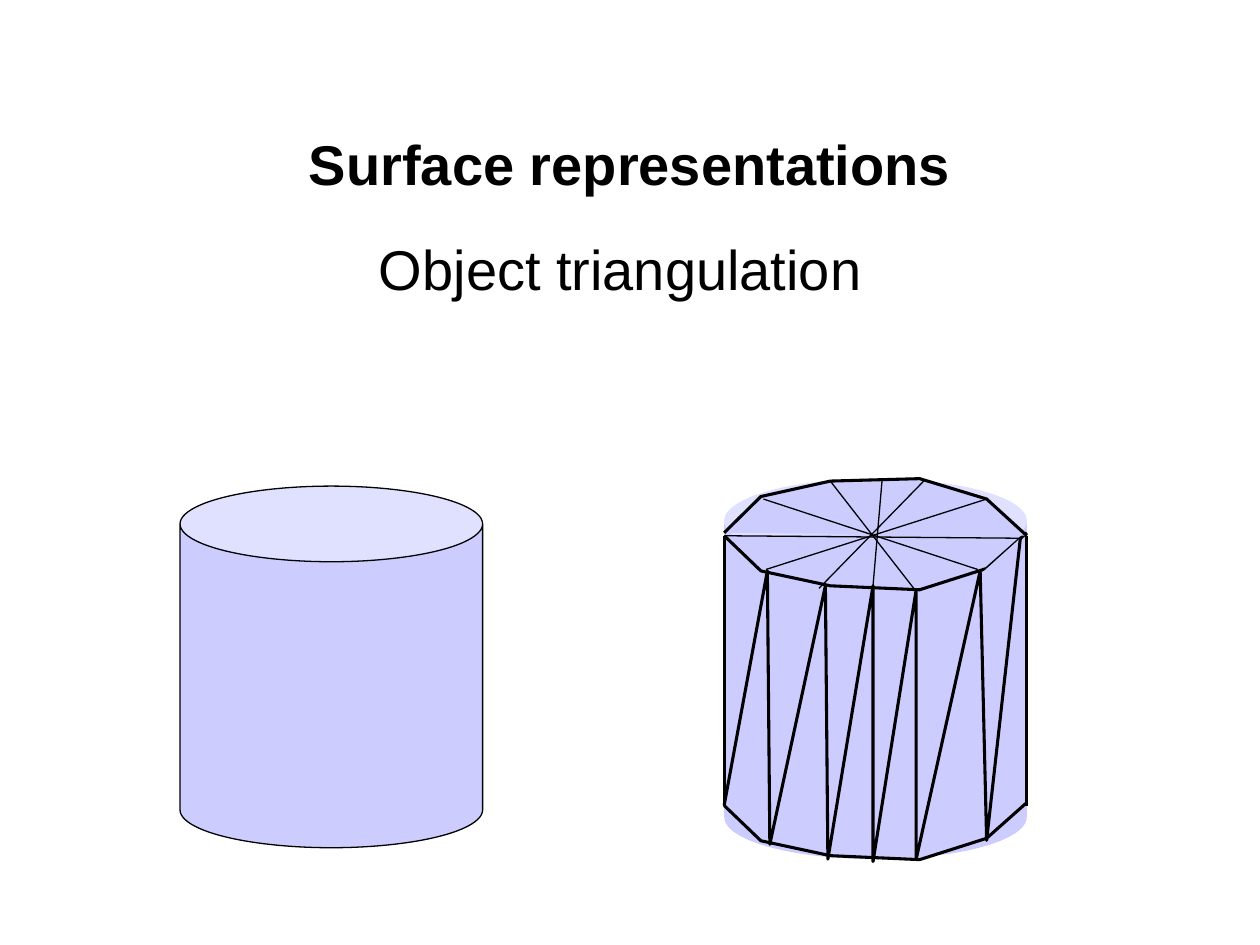
from pptx import Presentation
from pptx import util as u
from pptx.dml.color import RGBColor
from pptx.enum import shapes, text
from pptx.oxml.ns import qn
from lxml import etree

theme = {
    "font": "Arial",
    "size": u.Pt(32),
    "ink": RGBColor(0, 0, 0),
    "body": RGBColor(0xCC, 0xCC, 0xFF),
    "edge": u.Pt(1.75),
    "thin": u.Pt(0.75),
}

deck = Presentation()
deck.slide_width, deck.slide_height = u.Cm(25.4), u.Cm(19.05)
page = deck.slides.add_slide(deck.slide_layouts[6])


def draw_line(start, end, width):
    line = page.shapes.add_connector(
        shapes.MSO_CONNECTOR.STRAIGHT, *[u.Cm(value) for value in (*start, *end)])
    line.line.color.rgb = theme["ink"]
    line.line.width = width
    etree.SubElement(line._element.spPr, qn("a:effectLst"))


def paint(shape, width):
    shape.shadow.inherit = False
    shape.fill.solid()
    shape.fill.fore_color.rgb = theme["body"]
    if width:
        shape.line.color.rgb = theme["ink"]
        shape.line.width = width
    else:
        shape.line.fill.background()


# Title and subtitle
headings = [
    ("Surface representations", (1.9, 1.7, 21.6, 3.18), True),
    ("Object triangulation", (7.39, 4.6, 10.24, 1.63), False),
]
for words, place, is_title in headings:
    box = page.shapes.add_textbox(*[u.Cm(value) for value in place])
    frame = box.text_frame
    frame.word_wrap = is_title
    para = frame.paragraphs[0]
    para.text = words
    para.font.name = theme["font"]
    para.font.size = theme["size"]
    para.font.color.rgb = theme["ink"]
    para.font.bold = is_title
    if is_title:
        frame.vertical_anchor = text.MSO_ANCHOR.MIDDLE
        para.alignment = text.PP_ALIGN.CENTER
        para.space_before, para.space_after = u.Pt(12), u.Pt(6)

# Cylinders: the triangulated one has no outline, the smooth one has
cylinders = [
    ((14.6, 9.65, 6.1, 7.67), 0.278, None),
    ((3.63, 9.8, 6.1, 7.29), 0.25, theme["thin"]),
]
for place, rim, width in cylinders:
    cylinder = page.shapes.add_shape(
        shapes.MSO_SHAPE.CAN, *[u.Cm(value) for value in place])
    cylinder.adjustments[0] = rim
    paint(cylinder, width)

# Upright sides of the mesh
left, right, top, height = 14.6, 20.7, 10.8, 5.44
for side in (left, right):
    draw_line((side, top), (side, top + height), theme["edge"])

# Rims and the zigzag that splits the wall into triangles
front_rim = [(left, 10.8), (15.34, 11.51), (16.74, 11.81),
             (18.54, 11.89), (19.89, 11.46), (right, 10.74)]
base_rim = [(x, y + height) for x, y in front_rim]
back_rim = [(left, 10.74), (15.34, 10.01), (16.74, 9.7),
            (18.54, 9.65), (19.89, 10.06), (right, 10.8)]
zigzag = [(left, 16.23), (15.47, 11.51), (15.52, 17.02), (16.64, 11.81),
          (16.69, 17.32), (17.6, 11.81), (17.6, 17.37), (18.47, 11.89),
          (18.47, 17.32), (19.76, 11.51), (19.89, 16.94), (20.57, 10.85)]
for outline in (front_rim, base_rim, back_rim, zigzag):
    points = [(u.Cm(x), u.Cm(y)) for x, y in outline]
    builder = page.shapes.build_freeform(*points[0])
    builder.add_line_segments(points[1:], close=False)
    paint(builder.convert_to_shape(), theme["edge"])

# Spokes across the top face
spokes = [
    ((15.44, 11.48), (19.89, 10.06)),
    ((16.51, 11.86), (18.62, 9.7)),
    ((17.58, 12.04), (17.78, 9.7)),
    ((18.42, 11.86), (16.74, 9.7)),
    ((19.71, 11.48), (15.39, 10.06)),
    ((20.57, 10.85), (left, 10.8)),
]
for start, end in spokes:
    draw_line(start, end, theme["thin"])

deck.save("out.pptx")
